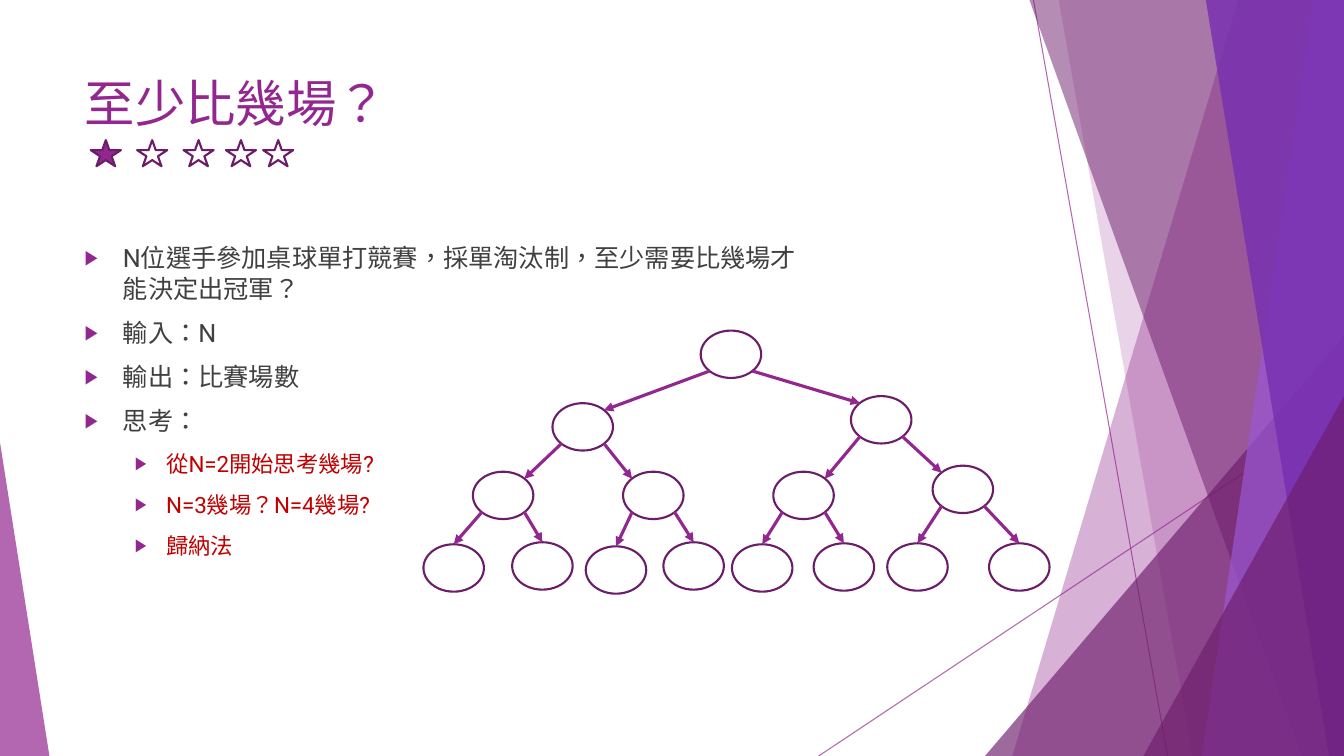
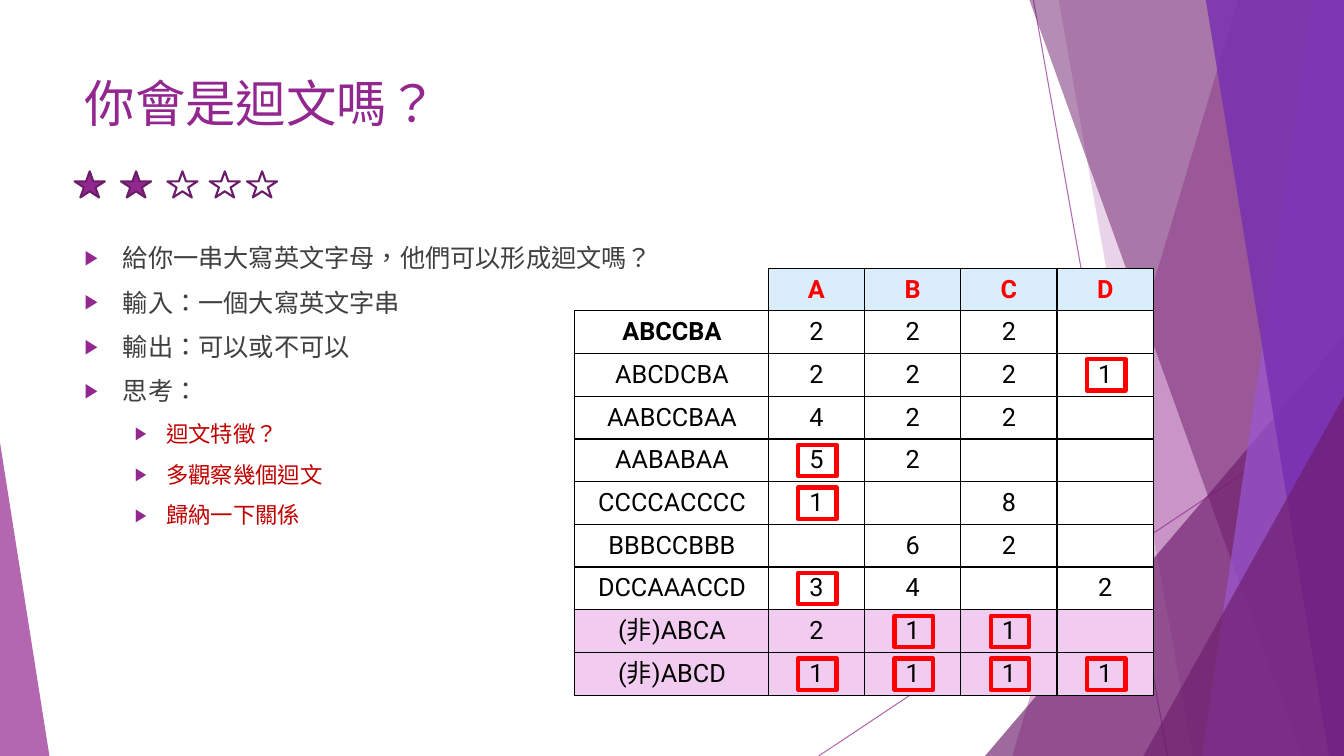
from dataclasses import dataclass

from lxml.etree import SubElement
from pptx import Presentation
from pptx.dml.color import RGBColor
from pptx.enum.shapes import MSO_CONNECTOR, MSO_SHAPE
from pptx.enum.text import MSO_ANCHOR, MSO_AUTO_SIZE, PP_ALIGN
from pptx.oxml.ns import qn
from pptx.util import Inches, Pt


@dataclass(frozen=True)
class Theme:
    font: str = "Roboto"
    plum: str = "92278F"
    outline: str = "6C1D6A"
    dark_plum: str = "6D1D6B"
    violet: str = "9B57D3"
    deep_violet: str = "762EB1"
    text: str = "404040"
    hint: str = "C00000"
    red: str = "FF0000"
    black: str = "000000"
    white: str = "FFFFFF"
    header: str = "DAEDFB"
    pink: str = "F1CCF0"
    title_size: int = 36
    body_size: int = 18
    hint_size: int = 16


THEME = Theme()
WIDTH, HEIGHT = 13.33, 7.5
TITLE_ONLY = 5


# Shared formatting
def inches(*lengths):
    return [Inches(length) for length in lengths]


def set_all(target, formats):
    for name, value in formats.items():
        setattr(target, name, value)


def paint(fill, color, alpha=None):
    if color is None:
        fill.background()
        return
    fill.solid()
    fill.fore_color.rgb = RGBColor.from_string(color)
    if alpha is not None:
        tint = fill._xPr.find(f"{qn('a:solidFill')}/{qn('a:srgbClr')}")
        SubElement(tint, qn("a:alpha")).set("val", str(alpha * 1000))


def style_shape(shape, fill=None, line=None, weight=1.5, alpha=None):
    shape.shadow.inherit = False
    paint(shape.fill, fill, alpha)
    paint(shape.line.fill, line)
    if line:
        shape.line.width = Pt(weight)
    return shape


def add_preset(slide, preset, box, **look):
    return style_shape(slide.shapes.add_shape(preset, *inches(*box)), **look)


def add_line(slide, start, end, weight, alpha=None, arrow=False):
    line = slide.shapes.add_connector(MSO_CONNECTOR.STRAIGHT, *inches(*start, *end))
    paint(line.line.fill, THEME.plum, alpha)
    line.line.width = Pt(weight)
    properties = line.element.spPr
    if arrow:
        SubElement(properties.find(qn("a:ln")), qn("a:tailEnd")).set("type", "triangle")
    SubElement(properties, qn("a:effectLst"))


def write(paragraph, text, size, color, bold=False):
    run = paragraph.add_run()
    run.text = text
    set_all(run.font, {"name": THEME.font, "size": Pt(size), "bold": bold})
    run.font.color.rgb = RGBColor.from_string(color)
    properties = run._r.get_or_add_rPr()
    properties.set("lang", "zh-TW")
    SubElement(properties, qn("a:ea")).set("typeface", THEME.font)


# Background facets, drawn once and held by the layout
def add_facets(slide, layout):
    def band(top_left, bottom_left, color, alpha):
        outline = slide.shapes.build_freeform(*inches(top_left, 0), scale=1.0)
        corners = [(WIDTH, 0), (WIDTH, HEIGHT), (bottom_left, HEIGHT)]
        outline.add_line_segments([inches(*corner) for corner in corners])
        style_shape(outline.convert_to_shape(), fill=color, alpha=alpha)

    def wedge(left, top, width, apex, color, alpha):
        triangle = add_preset(slide, MSO_SHAPE.ISOSCELES_TRIANGLE,
                              (left, top, width, HEIGHT - top), fill=color, alpha=alpha)
        triangle.adjustments[0] = apex

    title = slide.shapes.title.element
    add_line(slide, (10.25, 0), (11.58, HEIGHT), 0.75, alpha=70)
    add_line(slide, (WIDTH, 4.03), (8.12, HEIGHT), 0.75, alpha=70)
    band(12.28, 10.04, THEME.plum, 36)
    band(10.5, 11.83, THEME.plum, 20)
    wedge(9.77, 3.33, 3.56, 1, THEME.dark_plum, 66)
    band(10.21, 12.91, THEME.dark_plum, 50)
    band(13.03, 11.92, THEME.violet, 70)
    band(11.96, 13.18, THEME.deep_violet, 80)
    wedge(11.34, 3.93, 1.99, 1, THEME.dark_plum, 66)
    wedge(0, 4.39, 0.49, 0, THEME.plum, 70)

    facets = [shape.element for shape in slide.shapes if shape.element is not title]
    for position, facet in enumerate(facets, start=2):
        layout.element.cSld.spTree.insert(position, facet)


# Title
def set_title(slide, text, box):
    title = slide.shapes.title
    set_all(title, dict(zip(("left", "top", "width", "height"), inches(*box))))
    set_all(title.text_frame, {"vertical_anchor": MSO_ANCHOR.TOP, "word_wrap": True,
                               "auto_size": MSO_AUTO_SIZE.NONE})
    paragraph = title.text_frame.paragraphs[0]
    paragraph.alignment = PP_ALIGN.LEFT
    write(paragraph, text, THEME.title_size, THEME.plum)


# Bulleted problem statement followed by hints
def add_bullet(paragraph, margin, indent):
    properties = paragraph._p.get_or_add_pPr()
    properties.set("marL", str(Inches(margin)))
    properties.set("indent", str(Inches(-indent)))
    SubElement(SubElement(properties, qn("a:buClr")), qn("a:srgbClr")).set("val", THEME.plum)
    SubElement(properties, qn("a:buSzPct")).set("val", "80000")
    SubElement(properties, qn("a:buFont")).set("typeface", THEME.font)
    SubElement(properties, qn("a:buChar")).set("char", "▶")


def add_problem(slide, box, statements, hints):
    frame = slide.shapes.add_textbox(*inches(*box)).text_frame
    frame.word_wrap = True
    entries = [(text, 0) for text in statements] + [(text, 1) for text in hints]
    looks = [(0.38, 0.38, THEME.body_size, THEME.text),
             (0.81, 0.31, THEME.hint_size, THEME.hint)]
    for index, (text, level) in enumerate(entries):
        paragraph = frame.add_paragraph() if index else frame.paragraphs[0]
        margin, indent, size, color = looks[level]
        add_bullet(paragraph, margin, indent)
        set_all(paragraph, {"level": level, "space_before": Pt(10 if index else 0)})
        write(paragraph, text, size, color)


# Difficulty rating
def add_rating(slide, left, top, score):
    for index, offset in enumerate((0, 0.46, 0.92, 1.34, 1.71)):
        add_preset(slide, MSO_SHAPE.STAR_5_POINT, (left + offset, top, 0.3, 0.26),
                   fill=THEME.plum if index < score else None, line=THEME.outline)


# Knockout tree: children of match i are matches 2i+1 and 2i+2
def add_knockout_tree(slide, left, top):
    width, height = 0.6, 0.47
    inset_x, inset_y = 0.09, 0.07
    offsets = [(2.75, 0),
               (1.28, 0.72), (4.24, 0.65),
               (0.49, 1.4), (1.98, 1.4), (3.47, 1.4), (5.05, 1.34),
               (0, 2.12), (0.88, 2.1), (1.61, 2.14), (2.38, 2.1),
               (3.06, 2.12), (3.87, 2.11), (4.6, 2.11), (5.61, 2.11)]
    matches = [(left + x, top + y) for x, y in offsets]
    first_leaf = len(matches) // 2
    for x, y in matches:
        add_preset(slide, MSO_SHAPE.OVAL, (x, y, width, height),
                   fill=THEME.white, line=THEME.outline)
    for child, (x, y) in enumerate(matches[1:], start=1):
        parent_x, parent_y = matches[(child - 1) // 2]
        near, far = inset_x, width - inset_x
        exit_x, entry_x = (near, far) if child % 2 else (far, near)
        entry_y = inset_y
        if child >= first_leaf:
            entry_x, entry_y = width / 2, 0
        add_line(slide, (parent_x + exit_x, parent_y + height - inset_y),
                 (x + entry_x, y + entry_y), 2.25, arrow=True)


# Letter counts
def style_cell(cell, text, color, fill, bold):
    properties = cell._tc.get_or_add_tcPr()
    for side in ("a:lnL", "a:lnR", "a:lnT", "a:lnB"):
        border = SubElement(properties, qn(side), w=str(Pt(1)))
        SubElement(SubElement(border, qn("a:solidFill")), qn("a:srgbClr")).set("val", THEME.black)
    paint(cell.fill, fill)
    cell.vertical_anchor = MSO_ANCHOR.MIDDLE
    if text:
        paragraph = cell.text_frame.paragraphs[0]
        paragraph.alignment = PP_ALIGN.CENTER
        write(paragraph, text, THEME.body_size, color, bold)


def add_grid(slide, box, rows, look):
    """Fill a table; look(row, column) gives text colour, fill and weight."""
    table = slide.shapes.add_table(len(rows), len(rows[0]), *inches(*box)).table
    set_all(table, {"first_row": False, "horz_banding": False})
    for r, values in enumerate(rows):
        for c, value in enumerate(values):
            style_cell(table.cell(r, c), value, *look(r, c))


def add_letter_counts(slide, left, top, words, letters, counts):
    word_width, counts_width, counts_height = 1.93, 3.82, 4.24
    row_height = counts_height / (len(words) + 1)
    column_width = counts_width / len(letters)
    counts_left = left + word_width - 0.01
    first_failing = len(words) - 2

    def word_look(row, _):
        return THEME.black, THEME.pink if row >= first_failing else None, row == 0

    def count_look(row, _):
        if row == 0:
            return THEME.red, THEME.header, True
        return THEME.black, THEME.pink if row > first_failing else THEME.white, False

    add_grid(slide, (left, top + row_height, word_width, counts_height - row_height),
             [[word] for word in words], word_look)
    add_grid(slide, (counts_left, top, counts_width, counts_height),
             [list(letters)] + counts, count_look)

    # Frame every odd count
    frame_width, frame_height = 0.38, 0.31
    for r, values in enumerate(counts, start=1):
        for c, value in enumerate(values):
            if value and int(value) % 2:
                x = counts_left + (c + 0.5) * column_width - frame_width / 2 + 0.01
                y = top + (r + 0.5) * row_height - frame_height / 2
                add_preset(slide, MSO_SHAPE.RECTANGLE, (x, y, frame_width, frame_height),
                           line=THEME.red, weight=3)


# Slides
def add_problem_slide(deck, title, body_width, statements, hints):
    layout = deck.slide_layouts[TITLE_ONLY]
    slide = deck.slides.add_slide(layout)
    if len(deck.slides) == 1:
        add_facets(slide, layout)
    set_title(slide, title, (0.74, 0.67, 9.4, 1.44))
    add_problem(slide, (0.74, 2.36, body_width, 4.24), statements, hints)
    return slide


def add_match_slide(deck):
    slide = add_problem_slide(
        deck, "至少比幾場？", 7.45,
        ["N位選手參加桌球單打競賽，採單淘汰制，至少需要比幾場才能決定出冠軍？",
         "輸入：N", "輸出：比賽場數", "思考："],
        ["從N=2開始思考幾場?", "N=3幾場？N=4幾場?", "歸納法"])
    add_knockout_tree(slide, 4.2, 3.28)
    add_rating(slide, 0.9, 1.39, score=1)


def add_palindrome_slide(deck):
    slide = add_problem_slide(
        deck, "你會是迴文嗎？", 9.4,
        ["給你一串大寫英文字母，他們可以形成迴文嗎？",
         "輸入：一個大寫英文字串", "輸出：可以或不可以", "思考："],
        ["迴文特徵？", "多觀察幾個迴文", "歸納一下關係"])
    words = ["ABCCBA", "ABCDCBA", "AABCCBAA", "AABABAA", "CCCCACCCC",
             "BBBCCBBB", "DCCAAACCD", "(非)ABCA", "(非)ABCD"]
    counts = [["2", "2", "2", ""], ["2", "2", "2", "1"], ["4", "2", "2", ""],
              ["5", "2", "", ""], ["1", "", "8", ""], ["", "6", "2", ""],
              ["3", "4", "", "2"], ["2", "1", "1", ""], ["1", "1", "1", "1"]]
    add_letter_counts(slide, 5.7, 2.66, words, "ABCD", counts)
    add_rating(slide, 0.74, 1.7, score=2)


def main():
    deck = Presentation()
    set_all(deck, {"slide_width": Inches(WIDTH), "slide_height": Inches(HEIGHT)})
    add_match_slide(deck)
    add_palindrome_slide(deck)
    deck.save("out.pptx")


if __name__ == "__main__":
    main()
